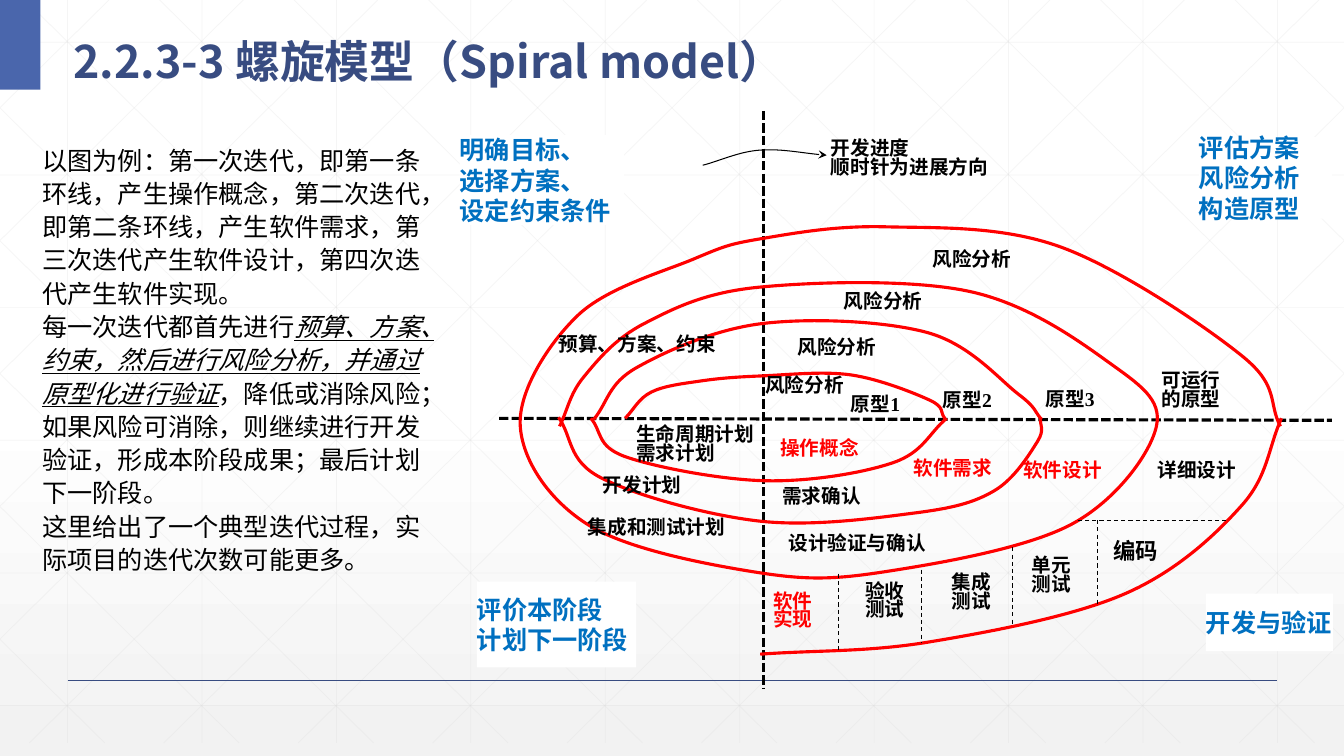
from lxml import etree
from pptx import Presentation
from pptx.dml.color import RGBColor
from pptx.enum.dml import MSO_LINE
from pptx.enum.shapes import MSO_CONNECTOR, MSO_SHAPE
from pptx.enum.text import MSO_ANCHOR, PP_ALIGN
from pptx.oxml.ns import qn
from pptx.util import Inches, Pt

STRAIGHT = MSO_CONNECTOR.STRAIGHT
RECT = MSO_SHAPE.RECTANGLE
TOP, MIDDLE = MSO_ANCHOR.TOP, MSO_ANCHOR.MIDDLE
LEFT, JUSTIFY = PP_ALIGN.LEFT, PP_ALIGN.JUSTIFY
AXIS_DASH, THIN_DASH = MSO_LINE.SQUARE_DOT, MSO_LINE.DASH

WIDTH, HEIGHT = 13.33, 7.5
COLORS = {"navy": "384C81", "block": "4A66AC", "red": "FF0000", "black": "000000",
          "blue": "0070C0", "white": "FFFFFF", "shade": "F2F2F2", "grid": "D9D9D9"}
SANS, SERIF = "Noto Sans CJK SC", "Times New Roman"

TITLE = {"name": SANS, "size": Pt(32), "bold": True}
BODY = {"name": SANS, "size": Pt(18)}
LABEL = {"name": SERIF, "size": Pt(14), "bold": True}
CODING = {**LABEL, "size": Pt(16)}
QUADRANT = {**LABEL, "size": Pt(18)}
EMPHASIS = {"italic": True, "underline": True}


def rgb(color):
    return RGBColor.from_string(COLORS[color])


def spline(knots):
    """Return the knots with the Bezier controls of a smooth curve between them."""
    last = len(knots) - 1

    def slope(i):
        a, b = max(i - 1, 0), min(i + 1, last)
        return [(q - p) / (3 * (b - a)) for p, q in zip(knots[a], knots[b])]

    points = [knots[0]]
    for i in range(last):
        (x1, y1), (x2, y2) = knots[i], knots[i + 1]
        (dx1, dy1), (dx2, dy2) = slope(i), slope(i + 1)
        points += [(x1 + dx1, y1 + dy1), (x2 - dx2, y2 - dy2), (x2, y2)]
    return points


class SlideBuilder:
    def __init__(self, prs):
        self.slide = prs.slides.add_slide(prs.slide_layouts[6])
        self.shapes = self.slide.shapes

    def background(self):
        fill = self.slide.background.fill
        fill.gradient()
        fill.gradient_angle = 270
        for stop, position, color in zip(fill.gradient_stops, (0.53, 1), ("white", "shade")):
            stop.position = position
            stop.color.rgb = rgb(color)

    def line(self, x1, y1, x2, y2, color, width, dash=None, alpha=None):
        sp = self.shapes.add_connector(STRAIGHT, *map(Inches, (x1, y1, x2, y2)))
        sp.line.color.rgb = rgb(color)
        sp.line.width = Pt(width)
        if dash:
            sp.line.dash_style = dash
        spPr = sp._element.spPr
        if alpha:
            clr = spPr.find(".//" + qn("a:srgbClr"))
            etree.SubElement(clr, qn("a:alpha"), val=str(alpha * 1000))
        etree.SubElement(spPr, qn("a:effectLst"))

    def rect(self, box, color):
        sp = self.shapes.add_shape(RECT, *map(Inches, box))
        sp.shadow.inherit = False
        sp.fill.solid()
        sp.fill.fore_color.rgb = rgb(color)
        sp.line.fill.background()
        return sp

    def curve(self, knots, color, width, arrow=False):
        start, *rest = [(Inches(x), Inches(y)) for x, y in spline(knots)]
        builder = self.shapes.build_freeform(*start, scale=1.0)
        builder.add_line_segments(rest, close=False)
        sp = builder.convert_to_shape()
        outline = sp._element.find(".//" + qn("a:path"))
        steps = outline.findall(qn("a:lnTo"))
        for i in range(0, len(steps), 3):
            bezier = etree.SubElement(outline, qn("a:cubicBezTo"))
            for step in steps[i:i + 3]:
                bezier.append(step[0])
                outline.remove(step)
        sp.fill.background()
        sp.shadow.inherit = False
        sp.line.color.rgb = rgb(color)
        sp.line.width = Pt(width)
        if arrow:
            ln = sp._element.spPr.find(qn("a:ln"))
            etree.SubElement(ln, qn("a:tailEnd"), type="stealth")

    def text(self, box, paragraphs, fmt, color="black", align=JUSTIFY, spacing=0.8,
             anchor=MIDDLE, inset=(0, 0), fill=None):
        """Write paragraphs, each a string or a list of (string, extra format) runs."""
        if fill:
            sp = self.rect(box, fill)
        else:
            sp = self.shapes.add_textbox(*map(Inches, box))
        tf = sp.text_frame
        side, end = map(Inches, inset)
        frame = {"word_wrap": True, "vertical_anchor": anchor, "margin_left": side,
                 "margin_right": side, "margin_top": end, "margin_bottom": end}
        for key, value in frame.items():
            setattr(tf, key, value)
        for i, runs in enumerate(paragraphs):
            p = tf.paragraphs[0] if i == 0 else tf.add_paragraph()
            p.alignment = align
            p.line_spacing = spacing
            for words, extra in [(runs, {})] if isinstance(runs, str) else runs:
                r = p.add_run()
                r.text = words
                for key, value in {**fmt, **extra}.items():
                    setattr(r.font, key, value)
                r.font.color.rgb = rgb(color)
                etree.SubElement(r._r.get_or_add_rPr(), qn("a:ea"), typeface=SANS)

    def label(self, left, middle, *lines, fmt=LABEL, color="black"):
        """Place a label by its left edge and middle height, sized by its lines."""
        width = max(map(len, lines)) * fmt["size"].inches * 1.08
        height = 0.24 * len(lines)
        self.text((left, middle - height / 2, width, height), lines, fmt, color)


def draw_grid(s):
    bottom, run, step_x, step_y = 7.37, 7.455, 4 / 3, 1.316
    lines = [(0.67 + i * step_x, 0, 0.67 + i * step_x, bottom) for i in range(10)]
    lines += [(0, 0.42 + i * step_y, WIDTH, 0.42 + i * step_y) for i in range(6)]
    slope = bottom / run
    for k in range(-5, 10):
        x = 0.25 + k * step_x
        x1, x2 = max(x, 0), min(x + run, WIDTH)
        y1, y2 = (x1 - x) * slope, (x2 - x) * slope
        lines += [(x1, y1, x2, y2), (WIDTH - x1, y1, WIDTH - x2, y2)]
    for ends in lines:
        s.line(*ends, "grid", 0.5, alpha=25)


SPIRAL = [
    [(6.2, 4.15), (6.46, 3.89), (6.95, 3.78), (7.55, 3.73), (8.44, 3.72), (9.22, 3.97), (9.37, 4.15)],
    [(9.39, 4.15), (8.86, 4.59), (7.59, 4.77), (6.2, 4.53), (5.86, 4.15)],
    [(5.89, 4.16), (6.31, 3.65), (7.56, 3.21), (9.2, 3.3), (10.1, 3.91), (10.33, 4.16)],
    [(10.32, 4.14), (10.29, 4.38), (9.86, 4.87), (9.07, 5.09), (7.53, 5.17), (5.96, 4.74), (5.54, 4.14)],
    [(5.55, 4.23), (5.79, 3.74), (6.39, 3.21), (7.52, 2.85), (9.61, 2.89), (10.99, 3.59), (11.47, 4.23),
     (10.63, 5.2), (8.79, 5.67), (7.52, 5.68), (5.84, 5.21), (5.16, 4.22), (5.73, 3.13),
     (6.88, 2.57), (7.54, 2.37), (8.78, 2.25), (10.52, 2.45), (12.33, 3.54), (12.7, 4.23)],
    [(12.71, 4.15), (12.32, 5.01), (11.16, 5.89), (9.21, 6.37), (7.54, 6.49)],
]
PROGRESS_ARROW = [(6.97, 1.64), (7.53, 1.49), (8.2, 1.54)]
DIVIDERS = [(10.89, 5.16, 6), (10.04, 5.43, 6.21), (9.14, 5.65, 6.37), (8.32, 5.69, 6.46)]
RISK_ANALYSES = [(7.59, 3.84), (7.91, 3.46), (8.37, 3), (9.25, 2.59)]
PROTOTYPES = [(8.44, 4.03), (9.35, 3.99), (10.37, 3.98)]
TESTS = [(10.23, 5.72, "单元"), (9.44, 5.89, "集成"), (8.58, 5.97, "验收")]
LABELS = [
    (6.31, 4.42, "生命周期计划", "需求计划"),
    (11.52, 3.88, "可运行", "的原型"),
    (7.76, 4.94, "需求确认"),
    (5.83, 5.25, "集成和测试计划"),
    (7.82, 5.41, "设计验证与确认"),
    (11.48, 4.68, "详细设计"),
    (8.24, 1.58, "开发进度", "顺时针为进展方向"),
    (5.98, 4.83, "开发计划"),
    (5.54, 3.43, "预算、方案、约束"),
]
PRODUCTS = [(7.74, 4.46, "操作概念"), (9.06, 4.66, "软件需求"), (10.15, 4.68, "软件设计")]
QUADRANTS = [
    ((4.56, 1.34, 1.63, 0.89), ["明确目标、", "选择方案、", "设定约束条件"]),
    ((11.89, 1.36, 1.32, 0.81), ["评估方案", "风险分析", "构造原型"]),
    ((11.96, 5.89, 1.26, 0.57), ["开发与验证"]),
    ((4.73, 5.77, 1.58, 0.85), ["评价本阶段", "计划下一阶段"]),
]
EXPLANATION = [
    "以图为例：第一次迭代，即第一条环线，产生操作概念，第二次迭代，即第二条环线，产生软件需求，"
    "第三次迭代产生软件设计，第四次迭代产生软件实现。",
    [("每一次迭代都首先进行", {}),
     ("预算、方案、约束，然后进行风险分析，并通过原型化进行验证", EMPHASIS),
     ("，降低或消除风险；如果风险可消除，则继续进行开发验证，形成本阶段成果；最后计划下一阶段。", {})],
    "这里给出了一个典型迭代过程，实际项目的迭代次数可能更多。",
]

prs = Presentation()
prs.slide_width, prs.slide_height = Inches(WIDTH), Inches(HEIGHT)
s = SlideBuilder(prs)
s.background()
draw_grid(s)
s.line(0.67, 6.75, 12.67, 6.75, "navy", 1)
s.rect((0, 0, 0.4, 0.89), "block")
s.text((0.63, 0.16, 11.52, 0.73), ["2.2.3-3 螺旋模型（Spiral model）"], TITLE, "navy",
       LEFT, 1.3, inset=(0.1, 0.05))
s.line(4.95, 4.15, 13.21, 4.17, "black", 2.25, AXIS_DASH)
s.line(7.57, 1.1, 7.57, 6.83, "black", 2.25, AXIS_DASH)
for ring in SPIRAL:
    s.curve(ring, "red", 2.25)
s.line(10.69, 5.16, 12.16, 5.16, "black", 0.75, THIN_DASH)
for x, top, bottom in DIVIDERS:
    s.line(x, top, x, bottom, "black", 0.75, THIN_DASH)
s.curve(PROGRESS_ARROW, "black", 0.75, arrow=True)
for box, words in QUADRANTS:
    s.text(box, words, QUADRANT, "blue", LEFT, 1.0, fill="white")
for label in LABELS:
    s.label(*label)
for place in RISK_ANALYSES:
    s.label(*place, "风险分析")
for number, place in enumerate(PROTOTYPES, 1):
    s.label(*place, f"原型{number}")
for test in TESTS:
    s.label(*test, "测试")
for product in PRODUCTS:
    s.label(*product, color="red")
s.text((7.67, 5.77, 0.57, 0.6), ["软件实现"], LABEL, "red", LEFT)
s.label(11.04, 5.49, "编码", fmt=CODING)
s.text((0.32, 1.36, 4.08, 4.74), EXPLANATION, BODY, align=LEFT, spacing=1.1,
       anchor=TOP, inset=(0.1, 0.05))
prs.save("out.pptx")
